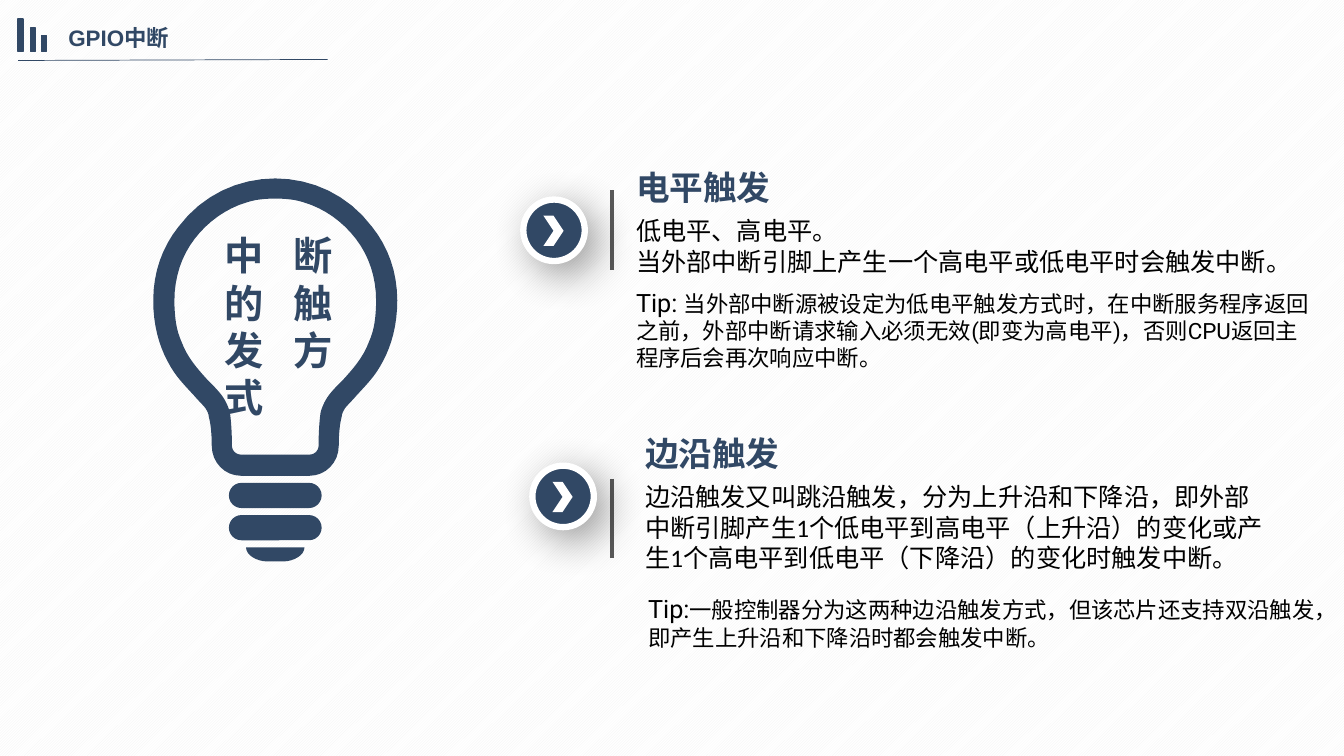
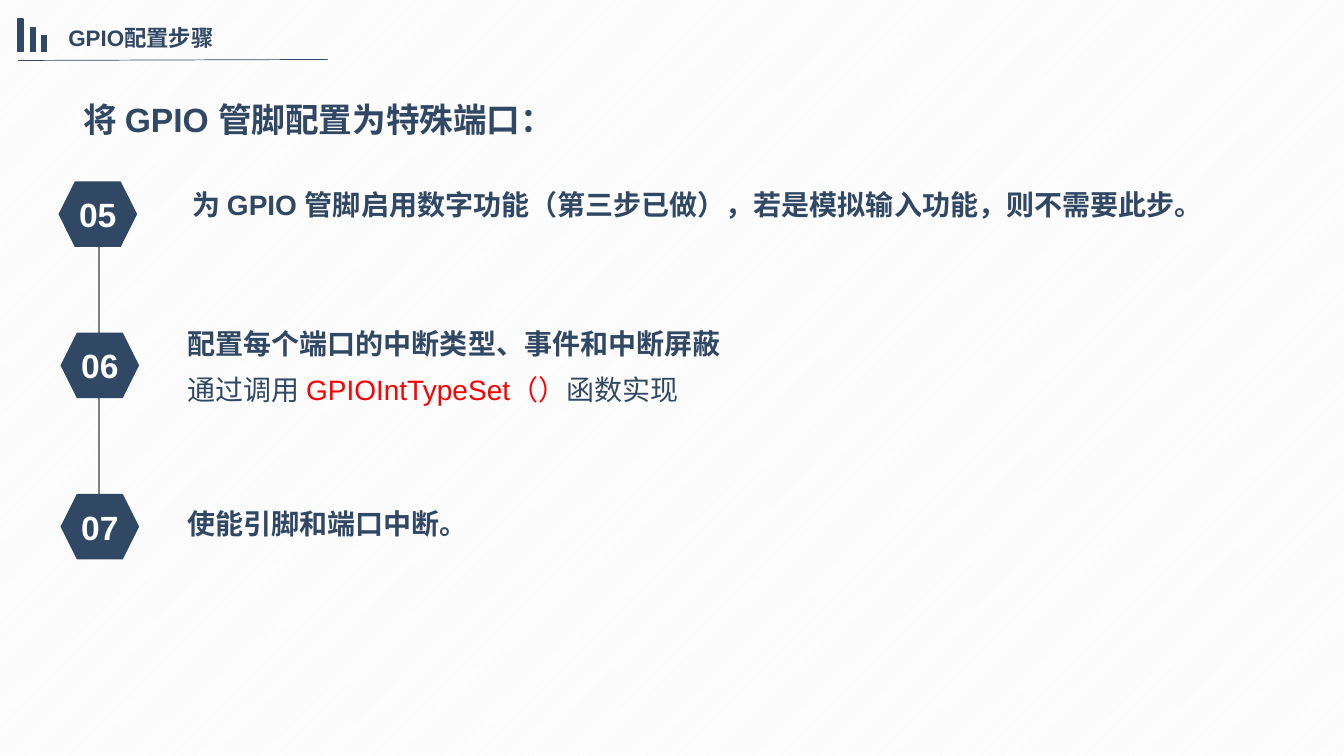
from lxml import etree
from pptx import Presentation
from pptx.dml.color import RGBColor
from pptx.enum.dml import MSO_PATTERN
from pptx.enum.lang import MSO_LANGUAGE_ID as Language
from pptx.enum.shapes import MSO_CONNECTOR, MSO_SHAPE
from pptx.enum.text import MSO_ANCHOR, MSO_AUTO_SIZE, PP_ALIGN
from pptx.oxml import parse_xml
from pptx.oxml.ns import nsdecls, qn
from pptx.util import Inches, Pt

COLORS = {
    "navy": "314865",
    "white": "FFFFFF",
    "stripe": "F2F2F2",
    "black": "000000",
    "red": "FF0000",
    "divider": "595959",
    "timeline": "808080",
}
DEFAULT_INSETS = (0.1, 0.05)
STEP_INSETS = (0.06, 0.03)

# Bulb outline: right half only, each contour a start point and cubic curves
BULB_CENTER = 2.73
BULB_OUTER = ((2.73, 1.77), [
    ((3.09, 1.77), (3.45, 1.93), (3.69, 2.25)),
    ((3.85, 2.45), (3.94, 2.70), (3.94, 2.98)),
    ((3.94, 3.23), (3.88, 3.43), (3.80, 3.58)),
    ((3.72, 3.74), (3.61, 3.84), (3.53, 3.93)),
    ((3.48, 3.99), (3.43, 4.03), (3.41, 4.07)),
    ((3.40, 4.09), (3.39, 4.11), (3.39, 4.13)),
    ((3.36, 4.24), (3.36, 4.38), (3.36, 4.42)),
    ((3.36, 4.59), (3.23, 4.72), (3.07, 4.72)),
])
BULB_INNER = ((2.73, 1.97), [
    ((2.84, 1.97), (2.93, 1.98), (3.02, 2.01)),
    ((3.22, 2.07), (3.40, 2.20), (3.53, 2.37)),
    ((3.66, 2.54), (3.73, 2.75), (3.73, 2.98)),
    ((3.73, 3.15), (3.71, 3.28), (3.66, 3.39)),
    ((3.60, 3.55), (3.50, 3.66), (3.41, 3.76)),
    ((3.36, 3.81), (3.31, 3.86), (3.27, 3.91)),
    ((3.23, 3.96), (3.20, 4.02), (3.18, 4.09)),
    ((3.16, 4.23), (3.16, 4.37), (3.16, 4.42)),
    ((3.16, 4.47), (3.12, 4.51), (3.07, 4.51)),
])
BULB_TIP = ((3.02, 5.43), [((3.02, 5.51), (2.91, 5.57), (2.81, 5.57))])


def rgb(name):
    return RGBColor.from_string(COLORS[name])


# Basic elements
def style_run(run, size, color, font, bold):
    run.font.size = Pt(size)
    run.font.name = font
    run.font.bold = bold
    run.font.color.rgb = rgb(color)
    run.font.language_id = Language.SIMPLIFIED_CHINESE


def add_text(slide, box, paragraphs, size, color="navy", font="Arial",
             bold=False, align=PP_ALIGN.LEFT, insets=DEFAULT_INSETS):
    """Each paragraph is a string or a list of (text, overrides) runs."""
    shape = slide.shapes.add_textbox(*map(Inches, box))
    frame = shape.text_frame
    frame.word_wrap = True
    frame.auto_size = MSO_AUTO_SIZE.SHAPE_TO_FIT_TEXT
    frame.margin_left = frame.margin_right = Inches(insets[0])
    frame.margin_top = frame.margin_bottom = Inches(insets[1])
    base = {"size": size, "color": color, "font": font, "bold": bold}
    for index, content in enumerate(paragraphs):
        paragraph = frame.add_paragraph() if index else frame.paragraphs[0]
        paragraph.alignment = align
        runs = [(content, {})] if isinstance(content, str) else content
        for text, overrides in runs:
            run = paragraph.add_run()
            run.text = text
            style_run(run, **{**base, **overrides})


def paint(shape, fill, line=None, line_width=1):
    shape.shadow.inherit = False
    shape.fill.solid()
    shape.fill.fore_color.rgb = rgb(fill)
    if line:
        shape.line.color.rgb = rgb(line)
        shape.line.width = Pt(line_width)
    else:
        shape.line.fill.background()


def add_shape(slide, kind, box, fill="navy", line=None, line_width=1):
    shape = slide.shapes.add_shape(kind, *map(Inches, box))
    paint(shape, fill, line, line_width)
    return shape


def add_line(slide, start, end, color, width):
    connector = slide.shapes.add_connector(
        MSO_CONNECTOR.STRAIGHT, *map(Inches, start + end))
    connector.line.color.rgb = rgb(color)
    connector.line.width = Pt(width)
    etree.SubElement(connector._element.spPr, qn("a:effectLst"))


def add_soft_shadow(shape):
    properties = shape._element.spPr
    properties.remove(properties.find(qn("a:effectLst")))
    properties.append(parse_xml(
        f'<a:effectLst {nsdecls("a")}><a:outerShdw blurRad="{Pt(30)}" '
        f'dist="{Pt(10)}" dir="2700000" algn="tl" rotWithShape="0">'
        f'<a:srgbClr val="{COLORS["black"]}"><a:alpha val="40000"/></a:srgbClr>'
        '</a:outerShdw></a:effectLst>'))


# Curved symmetric outlines
def flatten(start, curves, steps=8):
    points = [start]
    for control1, control2, end in curves:
        corners = (points[-1], control1, control2, end)
        for step in range(1, steps + 1):
            t = step / steps
            weights = ((1 - t) ** 3, 3 * t * (1 - t) ** 2,
                       3 * t ** 2 * (1 - t), t ** 3)
            points.append(tuple(
                sum(weight * corner[axis]
                    for weight, corner in zip(weights, corners))
                for axis in (0, 1)))
    return points


def add_symmetric_outline(slide, halves, center):
    builder = None
    for start, curves in halves:
        right = flatten(start, curves)
        left = [(2 * center - x, y) for x, y in reversed(right)]
        points = [(Inches(x), Inches(y)) for x, y in right + left]
        if builder is None:
            builder = slide.shapes.build_freeform(*points[0])
        else:
            builder.move_to(*points[0])
        builder.add_line_segments(points[1:], close=True)
    paint(builder.convert_to_shape(), "navy")


# Parts of the slides
def add_slide(presentation, title):
    slide = presentation.slides.add_slide(presentation.slide_layouts[6])
    add_line(slide, (0.18, 0.6), (3.25, 0.59), "navy", 0.5)
    add_text(slide, (0.58, 0.19, 2.66, 0.37), [title], 16, bold=True,
             align=PP_ALIGN.JUSTIFY)
    for left, top in ((0.18, 0.19), (0.3, 0.28), (0.41, 0.35)):
        add_shape(slide, MSO_SHAPE.RECTANGLE, (left, top, 0.05, 0.51 - top),
                  line="navy")
    return slide


def add_bulb(slide, label):
    add_symmetric_outline(slide, [BULB_OUTER, BULB_INNER], BULB_CENTER)
    for top in (4.79, 5.11):
        ring = add_shape(slide, MSO_SHAPE.ROUNDED_RECTANGLE,
                         (2.27, top, 0.92, 0.25))
        ring.adjustments[0] = 0.5
    add_symmetric_outline(slide, [BULB_TIP], BULB_CENTER)
    add_text(slide, (2.13, 2.25, 1.27, 1.99), [label], 28, bold=True,
             align=PP_ALIGN.JUSTIFY)


def add_trigger(slide, left, top, divider_top, heading, body, body_size):
    add_line(slide, (6.07, divider_top), (6.07, divider_top + 0.79),
             "divider", 2.25)
    add_text(slide, (left, top + 0.48, *body_size), body, 18, "black", "Calibri")
    add_text(slide, (left, top, 3.32, 0.5), [heading], 24, bold=True)
    badge_left, badge_top = left - 1.02, top + 0.37
    badge = add_shape(slide, MSO_SHAPE.OVAL, (badge_left, badge_top, 0.61, 0.61),
                      line="white", line_width=4.5)
    add_soft_shadow(badge)
    add_shape(slide, MSO_SHAPE.CHEVRON,
              (badge_left + 0.2, badge_top + 0.16, 0.2, 0.3), "white")


def add_tip(slide, box, label, text):
    add_text(slide, box, [[(label, {"size": 18}), (text, {})]], 16,
             "black", "Roboto")


def add_step_number(slide, left, top, number):
    hexagon = add_shape(slide, MSO_SHAPE.HEXAGON, (left, top, 0.78, 0.65))
    frame = hexagon.text_frame
    frame.margin_left = frame.margin_right = 0
    frame.margin_top = frame.margin_bottom = 0
    frame.vertical_anchor = MSO_ANCHOR.MIDDLE
    frame.word_wrap = False
    frame.text = number
    paragraph = frame.paragraphs[0]
    paragraph.alignment = PP_ALIGN.CENTER
    style_run(paragraph.runs[0], 24, "white", "Arial", True)


# Slides
def build_interrupt_slide(presentation):
    slide = add_slide(presentation, "GPIO中断")
    add_bulb(slide, "中断的触发方式")
    add_trigger(slide, 6.21, 1.61, 1.89, "电平触发",
                ["低电平、高电平。",
                 "当外部中断引脚上产生一个高电平或低电平时会触发中断。"],
                (6.91, 0.71))
    add_trigger(slide, 6.3, 4.25, 4.75, "边沿触发",
                ["边沿触发又叫跳沿触发，分为上升沿和下降沿，即外部"
                 "中断引脚产生1个低电平到高电平（上升沿）的变化或"
                 "产生1个高电平到低电平（下降沿）的变化时触发中断。"],
                (6.39, 1.01))
    add_tip(slide, (6.21, 2.8, 6.91, 0.94), "Tip: ",
            "当外部中断源被设定为低电平触发方式时，在中断服务程序返回之前，"
            "外部中断请求输入必须无效(即变为高电平)，"
            "否则CPU返回主程序后会再次响应中断。")
    add_tip(slide, (6.33, 5.84, 6.91, 0.67), "Tip:",
            "一般控制器分为这两种边沿触发方式，但该芯片还支持双沿触发，"
            "即产生上升沿和下降沿时都会触发中断。")


def build_steps_slide(presentation):
    slide = add_slide(presentation, "GPIO配置步骤")
    for start, end in ((2.34, 3.67), (3.67, 5.02)):
        add_line(slide, (0.98, start), (0.98, end), "timeline", 1.5)
    for left, top, number in ((0.58, 1.8, "05"), (0.6, 3.3, "06"),
                              (0.6, 4.9, "07")):
        add_step_number(slide, left, top, number)

    add_text(slide, (0.73, 0.93, 4.65, 0.5), ["将 GPIO 管脚配置为特殊端口："],
             24, bold=True)
    steps = (
        (1.85, 1.83, 10.12,
         "为 GPIO 管脚启用数字功能（第三步已做），若是模拟输入功能，则不需要此步。"),
        (1.8, 3.21, 5.79, "配置每个端口的中断类型、事件和中断屏蔽"),
        (1.8, 4.99, 5.79, "使能引脚和端口中断。"),
    )
    for left, top, width, text in steps:
        add_text(slide, (left, top, width, 0.4), [text], 20, bold=True,
                 insets=STEP_INSETS)
    add_text(slide, (1.8, 3.67, 11.3, 0.4),
             [[("通过调用 ", {}), ("GPIOIntTypeSet（）", {"color": "red"}),
               ("函数实现", {})]],
             20, insets=STEP_INSETS)


def main():
    presentation = Presentation()
    presentation.slide_width = Inches(13.33)
    presentation.slide_height = Inches(7.5)
    background = presentation.slide_master.background.fill
    background.patterned()
    background.pattern = MSO_PATTERN.DARK_UPWARD_DIAGONAL
    background.fore_color.rgb = rgb("stripe")
    background.back_color.rgb = rgb("white")
    build_interrupt_slide(presentation)
    build_steps_slide(presentation)
    presentation.save("out.pptx")


if __name__ == "__main__":
    main()
